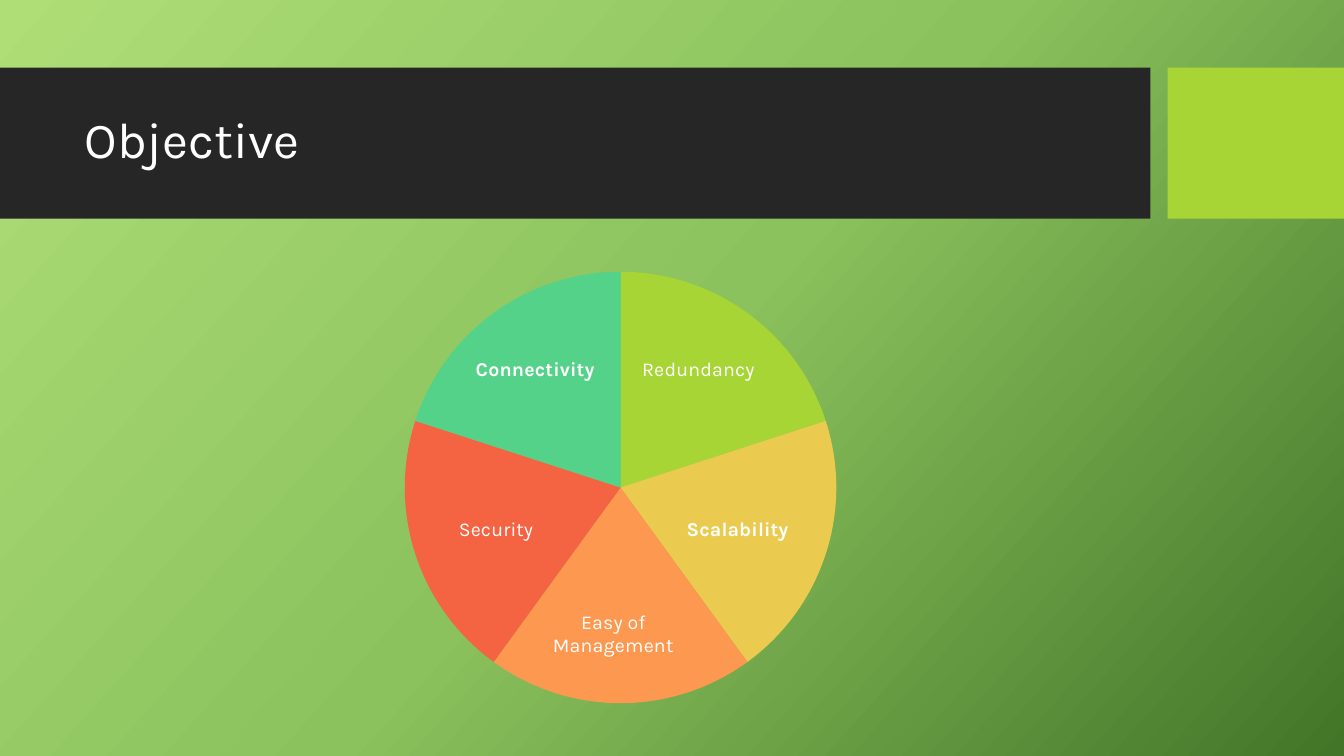
from copy import deepcopy

from pptx import Presentation
from pptx.chart.data import CategoryChartData
from pptx.dml.color import RGBColor
from pptx.enum.chart import XL_CHART_TYPE, XL_LABEL_POSITION
from pptx.enum.shapes import MSO_SHAPE
from pptx.enum.text import MSO_ANCHOR
from pptx.oxml import parse_xml
from pptx.oxml.ns import nsdecls
from pptx.util import Inches, Pt

FONT = "Karla"
COLORS = {
    "band": "262626", "lime": "A7D535", "yellow": "EACA4F", "orange": "FD9850",
    "red": "F46442", "mint": "54D289", "white": "FFFFFF",
    "light": "AFDE77", "middle": "8BC25D", "dark": "437528",
}
# label, slice colour, bold, shift of the label from the slice's centre
# (shares of the chart's size)
OBJECTIVES = [
    ("Redundancy", "lime", False, 0.02, -0.06),
    ("Scalability", "yellow", True, 0.02, 0.02),
    ("Easy of\nManagement", "orange", False, -0.01, 0.08),
    ("Security", "red", False, -0.03, 0.02),
    ("Connectivity", "mint", True, -0.03, -0.06),
]


def color(name):
    return RGBColor.from_string(COLORS[name])


def manual_layout(settings):
    """Build a chart layout from pairs of setting and value."""
    items = "".join(f'<c:{key} val="{value}"/>' for key, value in settings)
    return parse_xml(f'<c:layout {nsdecls("c")}><c:manualLayout>{items}'
                     "</c:manualLayout></c:layout>")


prs = Presentation()
prs.slide_width, prs.slide_height = Inches(13.33), Inches(7.5)
slide = prs.slides.add_slide(prs.slide_layouts[6])

# Background
background = slide.background.fill
background.gradient()
background.gradient_angle = 360 - 42
stop_list = slide.element.xpath(".//a:gsLst")[0]
stop_list.append(deepcopy(stop_list[0]))
for stop, position, shade in zip(background.gradient_stops, (0, 0.5, 1),
                                 ("light", "middle", "dark")):
    stop.position = position
    stop.color.rgb = color(shade)

# Title band
for left, width, shade in ((0, 11.41, "band"), (11.58, 1.75, "lime")):
    block = slide.shapes.add_shape(MSO_SHAPE.RECTANGLE, Inches(left), Inches(0.67),
                                   Inches(width), Inches(1.5))
    block.shadow.inherit = False
    block.fill.solid()
    block.fill.fore_color.rgb = color(shade)
    block.line.fill.background()

title = slide.shapes.add_textbox(Inches(0.74), Inches(0.82),
                                 Inches(11.15), Inches(1.18)).text_frame
title.word_wrap = True
title.vertical_anchor = MSO_ANCHOR.MIDDLE
title.text = "Objective"
heading = title.paragraphs[0]
heading.line_spacing = 0.9
heading.font.size = Pt(36)
heading.font.name = FONT
heading.font.color.rgb = color("white")

# Pie of objectives
shares = CategoryChartData()
shares.categories = [label.replace("\n", " ") for label, *_ in OBJECTIVES]
shares.add_series("Objectives", [20] * len(OBJECTIVES))
chart = slide.shapes.add_chart(XL_CHART_TYPE.PIE, Inches(2.68), Inches(2.5),
                               Inches(7.24), Inches(4.92), shares).chart
chart.has_legend = False
chart.has_title = False
chart.font.name = FONT
chart.font.size = Pt(14)
chart.font.color.rgb = color("white")

pie = chart.plots[0]
pie.vary_by_categories = True
for index, (label, shade, bold, _, _) in enumerate(OBJECTIVES):
    point = pie.series[0].points[index]
    point.format.fill.solid()
    point.format.fill.fore_color.rgb = color(shade)
    point.format.line.fill.background()
    caption = point.data_label.text_frame
    caption.text = label
    for paragraph in caption.paragraphs:
        for run in paragraph.runs:
            run.font.name = FONT
            run.font.size = Pt(14)
            run.font.bold = bold
            run.font.color.rgb = color("white")
    point.data_label.position = XL_LABEL_POSITION.CENTER

for data_label, (*_, right, down) in zip(chart.element.xpath(".//c:dLbl"), OBJECTIVES):
    for empty_layout in data_label.xpath("c:layout"):
        data_label.remove(empty_layout)
    data_label.insert(1, manual_layout([("x", right), ("y", down)]))

plot_area = chart.element.xpath(".//c:plotArea")[0]
for empty_layout in plot_area.xpath("c:layout"):
    plot_area.remove(empty_layout)
plot_area.insert(0, manual_layout([
    ("layoutTarget", "inner"), ("xMode", "edge"), ("yMode", "edge"),
    ("x", 0.17), ("y", 0.04), ("w", 0.62), ("h", 0.87)]))

prs.save("out.pptx")
